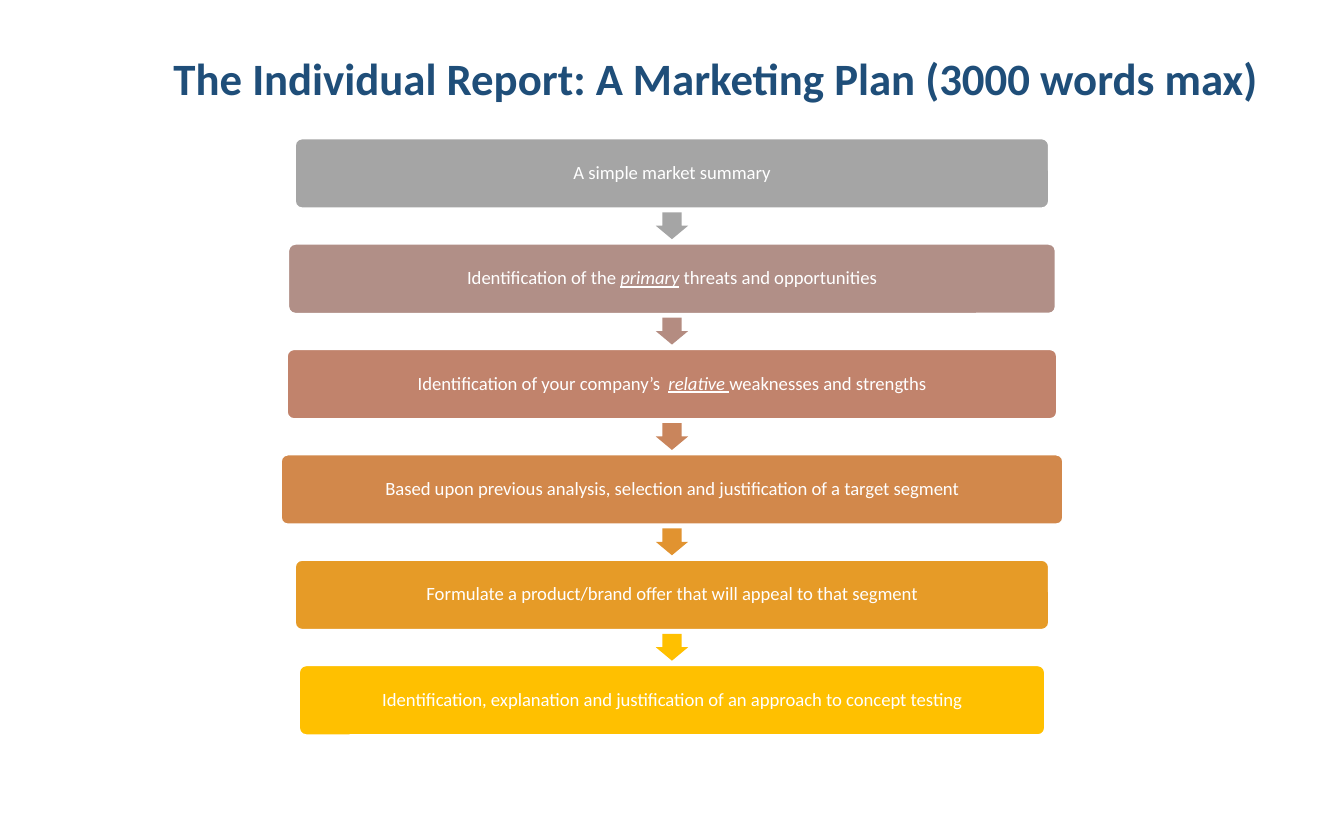
from pptx import Presentation
from pptx.dml.color import RGBColor
from pptx.enum.shapes import MSO_SHAPE
from pptx.enum.text import MSO_ANCHOR, PP_ALIGN
from pptx.util import Inches, Pt

ROUNDED = MSO_SHAPE.ROUNDED_RECTANGLE
DOWN_ARROW = MSO_SHAPE.DOWN_ARROW
MIDDLE = MSO_ANCHOR.MIDDLE
LEFT, CENTER = PP_ALIGN.LEFT, PP_ALIGN.CENTER

TITLE = "The Individual Report: A Marketing Plan (3000 words max)"
TITLE_FORMAT = {"name": "Calibri", "size": Pt(24), "bold": True}
STEP_FORMAT = {"name": "Calibri", "size": Pt(10)}
EMPHASIS_FORMAT = {**STEP_FORMAT, "italic": True, "underline": True}

MIDDLE_X = 5
FIRST_TOP, PITCH, STEP_HEIGHT = 1.03, 0.784, 0.52
ARROW_WIDTH, ARROW_HEIGHT, ARROW_OFFSET = 0.24, 0.2, 0.55

# Each step: width, fill, fill of the arrow below, (text, emphasised) spans.
STEPS = [
    (5.61, "A5A5A5", "A5A5A5", [("A simple market summary", False)]),
    (5.71, "B18F87", "B48C81", [("Identification of the ", False), ("primary", True),
                                (" threats and opportunities", False)]),
    (5.73, "C1836C", "C9855C", [("Identification of your company’s  ", False),
                                ("relative ", True),
                                ("weaknesses and strengths", False)]),
    (5.82, "D2884B", "E19330", [("Based upon previous analysis, selection and "
                                 "justification of a target segment", False)]),
    (5.61, "E69B27", "FFC000", [("Formulate a product/brand offer that will appeal "
                                 "to that segment", False)]),
    (5.55, "FFC000", None, [("Identification, explanation and justification of an "
                             "approach to concept testing", False)]),
]


def color(value):
    """Turn a hex string into a colour."""
    return RGBColor.from_string(value)


def add_span(para, text, formats, fill):
    """Append formatted text to a paragraph."""
    span = para.add_run()
    span.text = text
    for name, value in formats.items():
        setattr(span.font, name, value)
    span.font.color.rgb = color(fill)


def add_title(page):
    """Place and format the title placeholder."""
    title = page.shapes.title
    title.left, title.top = Inches(1.19), Inches(0)
    title.width, title.height = Inches(8.81), Inches(1.21)
    title.text_frame.vertical_anchor = MIDDLE
    para = title.text_frame.paragraphs[0]
    para.alignment, para.line_spacing = LEFT, 0.9
    add_span(para, TITLE, TITLE_FORMAT, "1F4E79")


def add_block(page, kind, top, width, height, fill, adjustments):
    """Add a filled shape centred on the flow."""
    block = page.shapes.add_shape(kind, Inches(MIDDLE_X - width / 2), Inches(top),
                                  Inches(width), Inches(height))
    block.shadow.inherit = False
    for index, value in enumerate(adjustments):
        block.adjustments[index] = value
    block.fill.solid()
    block.fill.fore_color.rgb = color(fill)
    block.line.fill.background()
    return block


def add_step(page, top, width, fill, spans):
    """Add a rounded step box with its text."""
    box = add_block(page, ROUNDED, top, width, STEP_HEIGHT, fill, [0.1])
    box.line.color.rgb = color("FFFFFF")
    box.line.width = Pt(1)
    frame = box.text_frame
    frame.word_wrap, frame.vertical_anchor = True, MIDDLE
    for side in ("left", "top", "right", "bottom"):
        setattr(frame, f"margin_{side}", Inches(0.04))
    para = frame.paragraphs[0]
    para.alignment, para.line_spacing = CENTER, 0.9
    for text, emphasised in spans:
        add_span(para, text, EMPHASIS_FORMAT if emphasised else STEP_FORMAT, "FFFFFF")


def main():
    """Build the deck."""
    deck = Presentation()
    deck.slide_width, deck.slide_height = Inches(10), Inches(6.25)
    page = deck.slides.add_slide(deck.slide_layouts[5])
    add_title(page)
    for index, (width, fill, arrow_fill, spans) in enumerate(STEPS):
        top = FIRST_TOP + index * PITCH
        add_step(page, top, width, fill, spans)
        if arrow_fill:
            add_block(page, DOWN_ARROW, top + ARROW_OFFSET, ARROW_WIDTH, ARROW_HEIGHT,
                      arrow_fill, [0.6, 0.5])
    deck.save("out.pptx")


if __name__ == "__main__":
    main()
